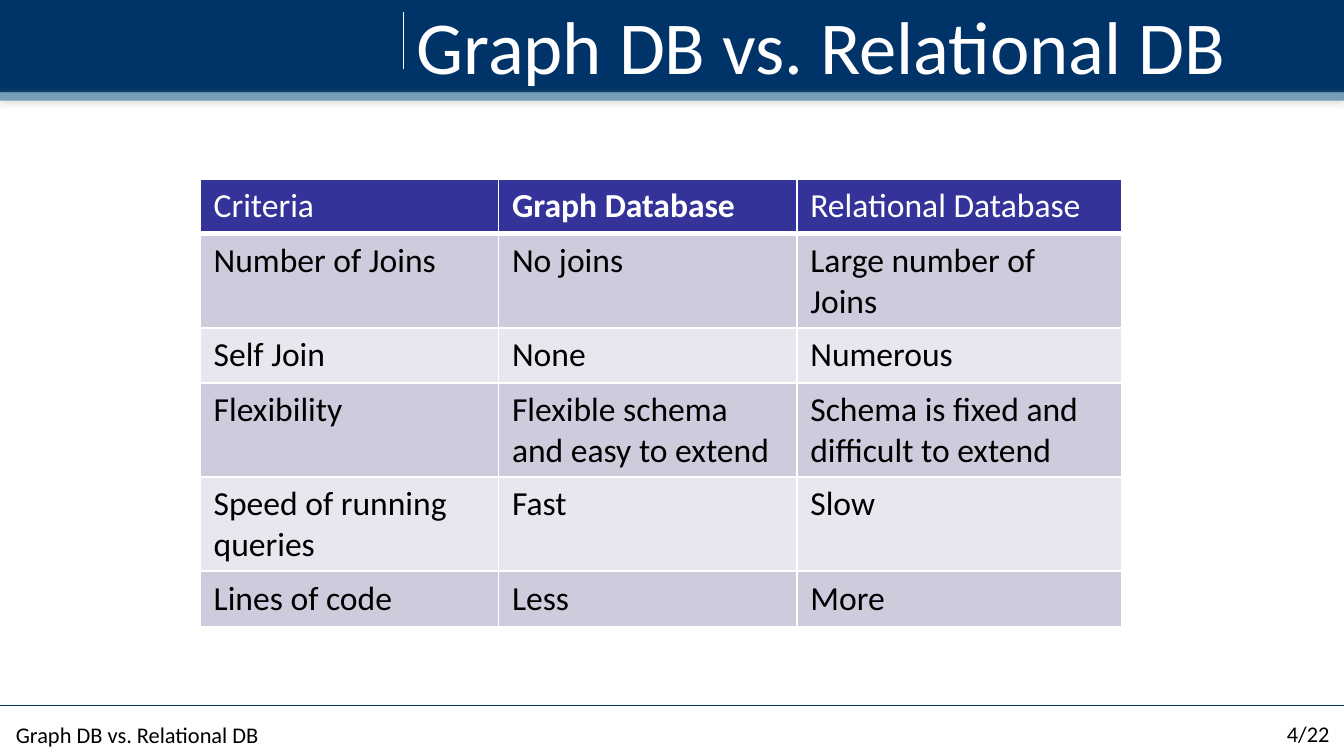
from dataclasses import dataclass

import pptx
import pptx.dml.color
import pptx.enum.shapes
import pptx.enum.text
import pptx.oxml
import pptx.oxml.ns
import pptx.util
from pptx.util import Inches

PP_ALIGN = pptx.enum.text.PP_ALIGN


@dataclass(frozen=True)
class Theme:
    font: str = "Calibri"
    navy: str = "003368"
    steel: str = "759FB8"
    shadow: str = "808080"
    header: str = "333399"
    bands: tuple[str, str] = ("CCCCDD", "E7E7EF")
    white: str = "FFFFFF"
    black: str = "000000"
    title_size: int = 40
    table_size: int = 18
    footer_size: int = 12


@dataclass(frozen=True)
class Bar:
    top: float
    height: float
    color: str


@dataclass(frozen=True)
class Rule:
    start: tuple[float, float]
    end: tuple[float, float]
    color: str


@dataclass(frozen=True)
class Label:
    text: str
    left: float
    top: float
    width: float
    align: PP_ALIGN


THEME = Theme()
TITLE = "Graph DB vs. Relational DB"
SLIDE_WIDTH = 10
SLIDE_HEIGHT = SLIDE_WIDTH * 9 / 16
BANNER = Bar(0, 0.69, THEME.navy)
STRIPE = Bar(0.69, 0.06, THEME.steel)
RULES = [
    Rule((3, 0.09), (3, 0.51), THEME.white),
    Rule((0, 5.25), (SLIDE_WIDTH, 5.25), THEME.navy),
]
FOOTERS = [
    Label("4/22", 9.2, 5.31, 0.79, PP_ALIGN.RIGHT),
    Label(TITLE, 0.02, 5.32, 2.36, PP_ALIGN.LEFT),
]
COLUMN_WIDTHS = [2.22, 2.22, 2.42]
ROW_HEIGHT = 0.41
TABLE_HEIGHT = 3.32
CRITERIA = [
    ("Criteria", "Graph Database", "Relational Database"),
    ("Number of Joins", "No joins", "Large number of Joins"),
    ("Self Join", "None", "Numerous"),
    ("Flexibility", "Flexible schema and easy to extend",
     "Schema is fixed and difficult to extend"),
    ("Speed of running queries", "Fast", "Slow"),
    ("Lines of code", "Less", "More"),
]


def rgb(color: str) -> pptx.dml.color.RGBColor:
    return pptx.dml.color.RGBColor.from_string(color)


def make_xml(xml: str):
    ns = pptx.oxml.ns.nsdecls("a")
    return pptx.oxml.parse_xml(xml.replace(">", f" {ns}>", 1))


def write(tf, text: str, size: int, color: str,
          align: PP_ALIGN = PP_ALIGN.LEFT, bold: bool = False) -> None:
    tf.text = text
    p = tf.paragraphs[0]
    p.alignment = align
    p.font.name = THEME.font
    p.font.size = pptx.util.Pt(size)
    p.font.bold = bold
    p.font.color.rgb = rgb(color)


def draw_bar(s, bar: Bar):
    sp = s.shapes.add_shape(
        pptx.enum.shapes.MSO_SHAPE.RECTANGLE,
        0, Inches(bar.top), Inches(SLIDE_WIDTH), Inches(bar.height))
    sp.fill.solid()
    sp.fill.fore_color.rgb = rgb(bar.color)
    sp.line.fill.background()
    return sp


def draw_rule(s, rule: Rule) -> None:
    line = s.shapes.add_connector(
        pptx.enum.shapes.MSO_CONNECTOR.STRAIGHT,
        *map(Inches, rule.start + rule.end))
    line.line.color.rgb = rgb(rule.color)
    line.line.width = pptx.util.Pt(0.75)
    line.element.spPr.append(make_xml("<a:effectLst></a:effectLst>"))


def draw_banner(s) -> None:
    draw_bar(s, BANNER).shadow.inherit = False
    for rule in RULES:
        draw_rule(s, rule)
    stripe = draw_bar(s, STRIPE)
    stripe.element.spPr.append(make_xml(
        f'<a:effectLst><a:outerShdw blurRad="{pptx.util.Pt(5)}" dist="0" dir="0">'
        f'<a:srgbClr val="{THEME.shadow}"><a:alpha val="44000"/></a:srgbClr>'
        '</a:outerShdw></a:effectLst>'))


def draw_title(s) -> None:
    title = s.shapes.title
    title.left, title.top = Inches(3), Inches(0)
    title.width, title.height = Inches(7), Inches(0.67)
    tf = title.text_frame
    tf.margin_left = tf.margin_right = Inches(0.1)
    tf.margin_top = tf.margin_bottom = Inches(0.1)
    tf.vertical_anchor = pptx.enum.text.MSO_ANCHOR.MIDDLE
    tf.auto_size = pptx.enum.text.MSO_AUTO_SIZE.NONE
    write(tf, TITLE, THEME.title_size, THEME.white)
    title.element.getparent().append(title.element)


def draw_label(s, label: Label) -> None:
    sp = s.shapes.add_textbox(Inches(label.left), Inches(label.top),
                              Inches(label.width), Inches(0.3))
    sp.text_frame.word_wrap = True
    write(sp.text_frame, label.text, THEME.footer_size, THEME.black, label.align)


def set_borders(cell, top: int, bottom: int) -> None:
    tc_pr = cell._tc.get_or_add_tcPr()
    widths = {"L": 1, "R": 1, "T": top, "B": bottom}
    for index, (side, points) in enumerate(widths.items()):
        tc_pr.insert(index, make_xml(
            f'<a:ln{side} w="{pptx.util.Pt(points)}"><a:solidFill>'
            f'<a:srgbClr val="{THEME.white}"/></a:solidFill></a:ln{side}>'))


def draw_table(s) -> None:
    frame = s.shapes.add_table(
        len(CRITERIA), len(COLUMN_WIDTHS), Inches(1.49), Inches(1.33),
        Inches(sum(COLUMN_WIDTHS)), Inches(ROW_HEIGHT * len(CRITERIA)))
    table = frame.table
    for column, width in zip(table.columns, COLUMN_WIDTHS):
        column.width = Inches(width)
    for i, texts in enumerate(CRITERIA):
        is_header = i == 0
        for j, text in enumerate(texts):
            cell = table.cell(i, j)
            cell.fill.solid()
            cell.fill.fore_color.rgb = rgb(
                THEME.header if is_header else THEME.bands[(i - 1) % 2])
            write(cell.text_frame, text, THEME.table_size,
                  THEME.white if is_header else THEME.black,
                  bold=is_header and j == 1)
            set_borders(cell, top=3 if i == 1 else 1, bottom=3 if is_header else 1)
    frame.height = Inches(TABLE_HEIGHT)


def main() -> None:
    prs = pptx.Presentation()
    prs.slide_width, prs.slide_height = Inches(SLIDE_WIDTH), Inches(SLIDE_HEIGHT)
    s = prs.slides.add_slide(prs.slide_layouts[5])
    draw_banner(s)
    draw_title(s)
    for label in FOOTERS:
        draw_label(s, label)
    draw_table(s)
    prs.save("out.pptx")


if __name__ == "__main__":
    main()
